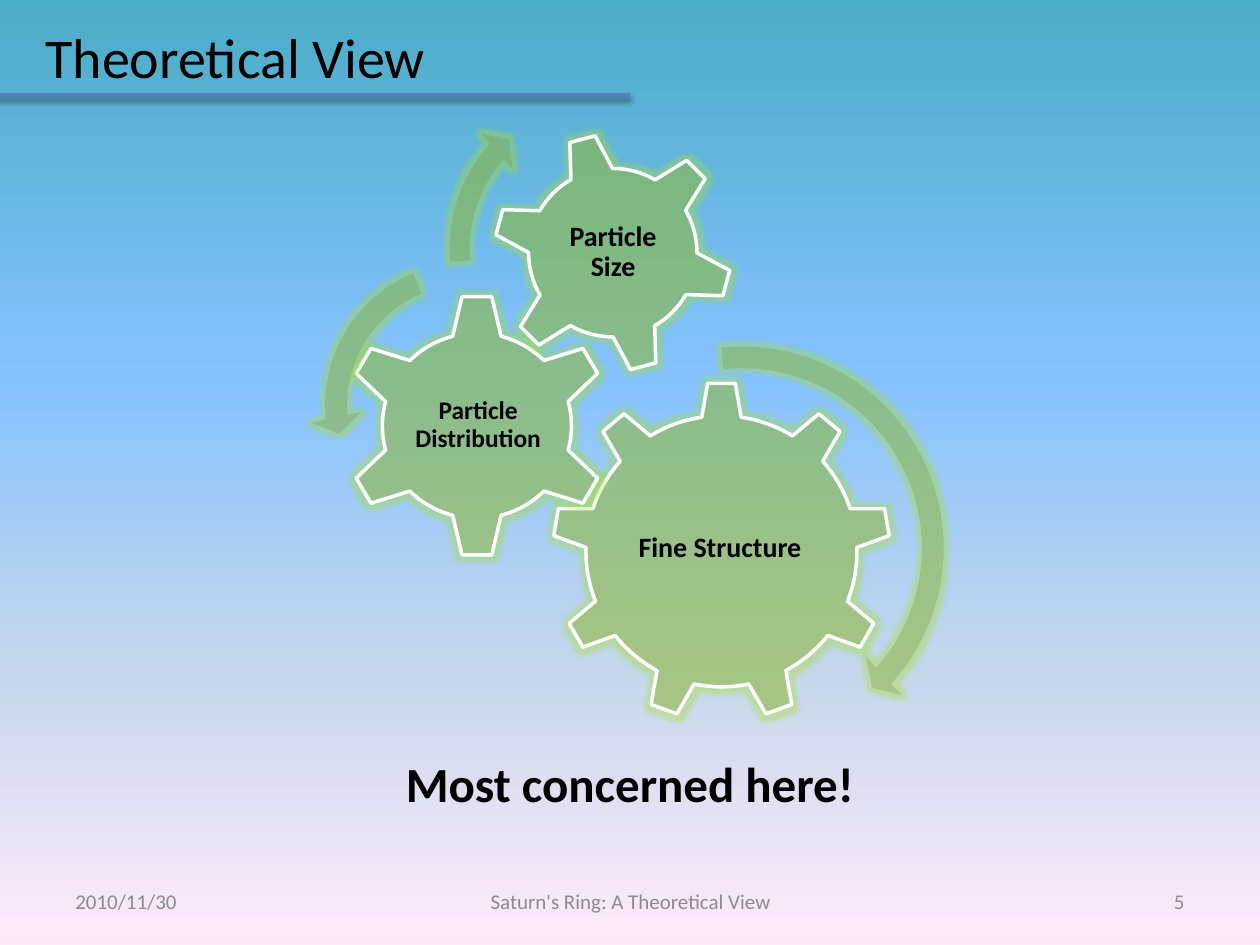
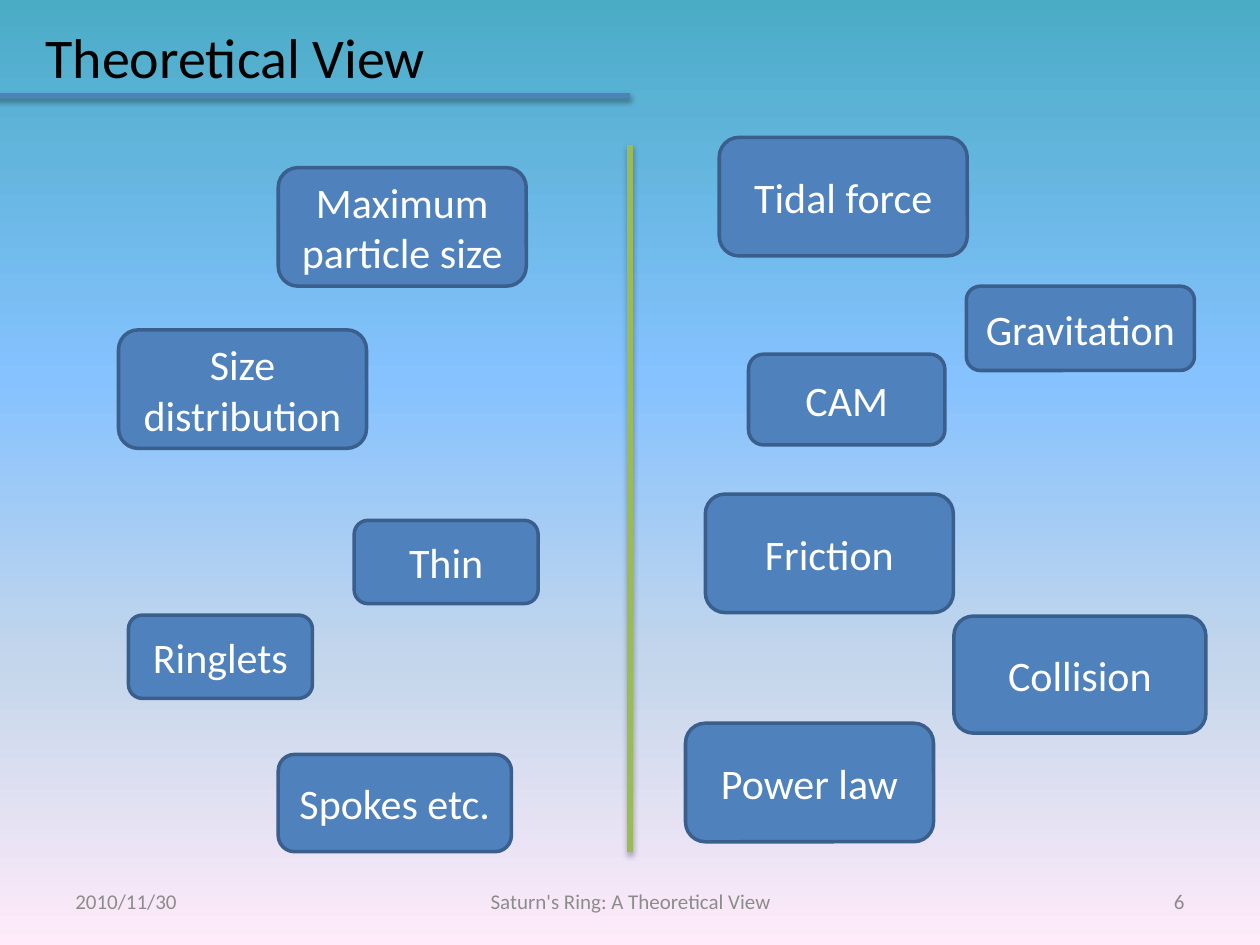
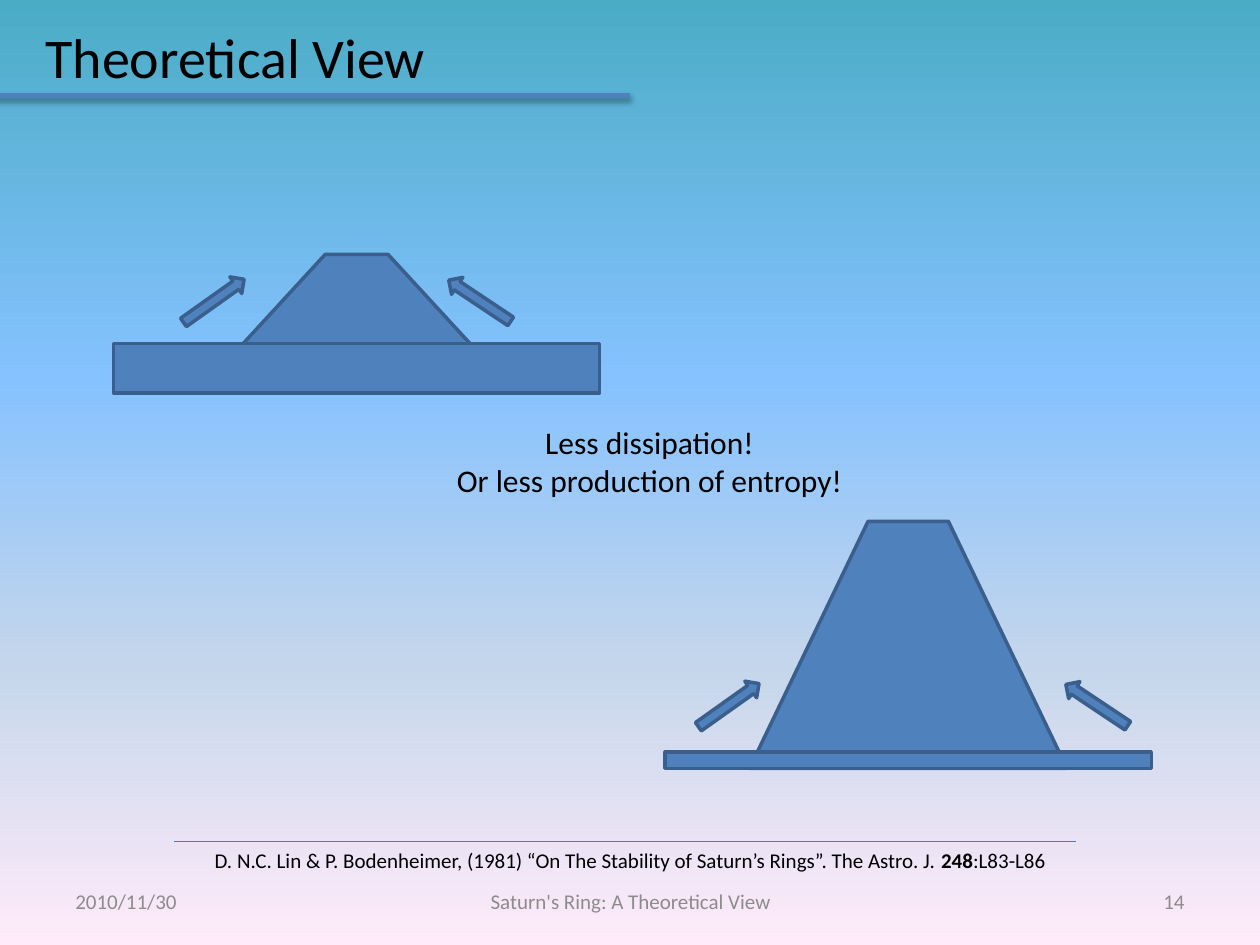
"""Build three slides on the theory of Saturn's rings."""
from lxml import etree
from pptx import Presentation
from pptx.dml.color import RGBColor
from pptx.enum.shapes import MSO_CONNECTOR, MSO_SHAPE
from pptx.enum.text import MSO_ANCHOR, PP_ALIGN
from pptx.oxml.ns import qn
from pptx.util import Cm, Pt

STRAIGHT = MSO_CONNECTOR.STRAIGHT
GEAR_6, GEAR_9 = MSO_SHAPE.GEAR_6, MSO_SHAPE.GEAR_9
TURN, LEFT_TURN = MSO_SHAPE.CIRCULAR_ARROW, MSO_SHAPE.LEFT_CIRCULAR_ARROW
RECT, ROUNDED = MSO_SHAPE.RECTANGLE, MSO_SHAPE.ROUNDED_RECTANGLE
TRAPEZOID, LEFT_ARROW = MSO_SHAPE.TRAPEZOID, MSO_SHAPE.LEFT_ARROW
LEFT, CENTER, RIGHT = PP_ALIGN.LEFT, PP_ALIGN.CENTER, PP_ALIGN.RIGHT
TOP, MIDDLE = MSO_ANCHOR.TOP, MSO_ANCHOR.MIDDLE

FONT = "Calibri"
COLORS = {
    "text": "000000", "white": "FFFFFF", "footer": "8C8C8C",
    "blue": "4F81BD", "edge": "3A5F8C", "rule": "4B7EBC",
    "divider": "9BBB59", "gear": "77933C", "glow": "A6DF35",
}
SKY = [(0, "4BACC6"), (40, "85C2FF"), (70, "C4D6EB"), (100, "FFEBFA")]
TITLE = "Theoretical View"
DATE = "2010/11/30"
FOOTER = "Saturn's Ring: A Theoretical View"

GEARS = [
    (GEAR_9, (11.13, 7.7, 6.83, 6.83), 0,
     "Fine Structure", (12.47, 9.3, 4.09, 3.51), 16),
    (GEAR_6, (6.91, 5.92, 5.41, 5.33), 0,
     "Particle Distribution", (8.28, 7.26, 2.72, 2.62), 14.5),
    (GEAR_6, (9.93, 2.67, 4.85, 4.85), 345,
     "Particle Size", (11, 3.73, 2.72, 2.72), 16),
]
TURNS = [
    (TURN, (10.59, 6.68, 8.74, 8.74), (0.05, 2.99, 25.22, 158.48, 0.06)),
    (LEFT_TURN, (6.27, 5, 6.35, 6.35), (0.07, 4.3, 104.89, 148.38, 0.08)),
    (TURN, (8.79, 1.6, 6.83, 6.83), (0.06, 3.94, 133.14, 105.08, 0.07)),
]
TOPICS = [
    ("Tidal force", (14.5, 2.77, 5, 2.39)),
    ("Maximum particle size", (5.61, 3.38, 5, 2.39)),
    ("Ringlets", (2.59, 12.4, 3.71, 1.68)),
    ("Friction", (14.22, 9.96, 5, 2.39)),
    ("Collision", (19.23, 12.42, 5.08, 2.36)),
    ("Power law", (13.82, 14.58, 5, 2.39)),
    ("Thin", (7.14, 10.49, 3.71, 1.68)),
    ("Size distribution", (2.39, 6.65, 5, 2.39)),
    ("Spokes etc.", (5.61, 15.21, 4.7, 1.96)),
    ("Gravitation", (19.48, 5.77, 4.6, 1.7)),
    ("CAM", (15.09, 7.14, 3.96, 1.83)),
]


def rgb(name):
    """Return the palette colour called name."""
    return RGBColor.from_string(COLORS[name])


def add_child(parent, tag, **attrs):
    """Append a DrawingML element with the given attributes."""
    child = etree.SubElement(parent, qn(f"a:{tag}"))
    for key, value in attrs.items():
        child.set(key, str(value))
    return child


def add_color(parent, value, alpha=100):
    """Append a colour with its opacity in percent."""
    color = add_child(parent, "srgbClr", val=value)
    if alpha < 100:
        add_child(color, "alpha", val=alpha * 1000)


def paint_background(master):
    """Give the master the vertical sky gradient."""
    fill = master.background.fill
    fill.gradient()
    fill.gradient_angle = 270
    stops = master.element.find(f".//{qn('p:bg')}//{qn('a:gsLst')}")
    for stop in list(stops):
        stops.remove(stop)
    for pos, value in SKY:
        add_color(add_child(stops, "gs", pos=pos * 1000), value)


def add_run(p, text, size, color="text", bold=False):
    """Append one formatted run to a paragraph."""
    r = p.add_run()
    r.text = text
    r.font.name, r.font.size, r.font.bold = FONT, Pt(size), bold
    r.font.color.rgb = rgb(color)


def add_text(s, box, lines, size, color="text", bold=False, align=CENTER,
             anchor=TOP, wrap=True):
    """Add a text box with one paragraph per line and return its frame."""
    tf = s.shapes.add_textbox(*map(Cm, box)).text_frame
    tf.word_wrap, tf.vertical_anchor = wrap, anchor
    for i, line in enumerate(lines):
        p = tf.add_paragraph() if i else tf.paragraphs[0]
        p.alignment = align
        add_run(p, line, size, color, bold)
    return tf


def add_block(s, kind, box, rotation=0, adjustments=()):
    """Add a blue shape with a dark edge."""
    sp = s.shapes.add_shape(kind, *map(Cm, box))
    sp.shadow.inherit = False
    sp.rotation = rotation
    for i, value in enumerate(adjustments):
        sp.adjustments[i] = value
    sp.fill.solid()
    sp.fill.fore_color.rgb = rgb("blue")
    sp.line.color.rgb = rgb("edge")
    sp.line.width = Pt(2)
    return sp


def add_glowing(s, kind, box, rotation=0, adjustments=()):
    """Add a translucent green shape with a soft glow."""
    sp = add_block(s, kind, box, rotation, adjustments)
    sp.fill.fore_color.rgb = rgb("gear")
    spPr = sp.element.spPr
    add_child(spPr.find(f"{qn('a:solidFill')}/{qn('a:srgbClr')}"),
              "alpha", val=29000)
    glow = add_child(spPr.find(qn("a:effectLst")), "glow", rad=Pt(5))
    add_color(glow, COLORS["glow"], 40)
    return sp


def add_line(s, ends, color, width, shadow=True):
    """Add a straight line, with a soft shadow if wanted."""
    line = s.shapes.add_connector(STRAIGHT, *map(Cm, ends))
    line.line.color.rgb = rgb(color)
    line.line.width = Pt(width)
    effects = add_child(line.element.spPr, "effectLst")
    if shadow:
        outer = add_child(effects, "outerShdw", blurRad=40000, dist=23000,
                          dir=5400000, rotWithShape=0)
        add_color(outer, "000000", 35)


def add_slide(prs, number):
    """Add a slide with the shared title, rule and footer."""
    s = prs.slides.add_slide(prs.slide_layouts[5])
    title = s.shapes.title
    title.left, title.top, title.width, title.height = map(
        Cm, (0.66, 0.15, 23.04, 1.96))
    title.text_frame.vertical_anchor = MIDDLE
    p = title.text_frame.paragraphs[0]
    p.alignment = LEFT
    add_run(p, TITLE, 32)
    for text, left, width, align in ((DATE, 1.27, 5.92, LEFT),
                                     (str(number), 18.21, 5.92, RIGHT),
                                     (FOOTER, 8.69, 8.05, CENTER)):
        add_text(s, (left, 17.65, width, 1.02), [text], 12, "footer",
                 align=align, anchor=MIDDLE)
    add_line(s, (-0.1, 1.93, 12.7, 1.93), "blue", 3)
    return s


def add_gear(s, kind, box, rotation, label, label_box, size):
    """Add a gear with an upright label."""
    add_glowing(s, kind, box, rotation).line.color.rgb = rgb("white")
    tf = add_text(s, label_box, [label], size, bold=True, anchor=MIDDLE)
    tf.margin_left = tf.margin_right = Cm(0.05)
    tf.margin_top = tf.margin_bottom = Cm(0.05)
    tf.paragraphs[0].line_spacing = 0.9


def add_topic(s, label, box):
    """Add a rounded box naming a topic."""
    tf = add_block(s, ROUNDED, box).text_frame
    tf.word_wrap, tf.vertical_anchor = True, MIDDLE
    p = tf.paragraphs[0]
    p.alignment = CENTER
    add_run(p, label, 24, "white")


def add_mound(s, left, bottom, height, slab, slope, arrow_top, arrow_lefts):
    """Add a mound on a slab with an arrow climbing each side."""
    add_block(s, TRAPEZOID, (left + 1.7, bottom - height, 6.4, height),
              adjustments=[slope])
    add_block(s, RECT, (left, bottom - slab, 9.8, slab))
    for arrow_left, angle in zip(arrow_lefts, (144.6, 33.7)):
        add_block(s, LEFT_ARROW, (arrow_left, arrow_top, 1.5, 0.41), angle)


def build_gears(prs):
    """Build the slide of interlocking questions."""
    s = add_slide(prs, 5)
    for gear in GEARS:
        add_gear(s, *gear)
    for kind, box, adjustments in TURNS:
        sp = add_glowing(s, kind, box, adjustments=adjustments)
        sp.line.fill.background()
    add_text(s, (7.87, 15.06, 9.65, 1.45), ["Most concerned here!"], 28,
             bold=True, wrap=False)


def build_topics(prs):
    """Build the slide setting observations beside mechanisms."""
    s = add_slide(prs, 6)
    for label, box in TOPICS:
        add_topic(s, label, box)
    add_line(s, (12.7, 2.92, 12.7, 17.17), "divider", 3)


def build_mounds(prs):
    """Build the slide comparing two ring profiles."""
    s = add_slide(prs, 14)
    add_line(s, (3.51, 16.97, 21.69, 16.97), "rule", 0.75, shadow=False)
    tf = add_text(s, (0, 16.97, 25.4, 0.76),
                  ["D. N.C. Lin & P. Bodenheimer, (1981) “On The Stability of "
                   "Saturn’s Rings”. The Astro. J. "], 12)
    add_run(tf.paragraphs[0], "248", 12, bold=True)
    add_run(tf.paragraphs[0], ":L83-L86", 12)
    add_mound(s, 2.29, 7.92, 2.79, 0.99, 0.92, 5.86, (3.56, 8.92))
    add_mound(s, 13.41, 15.49, 4.98, 0.33, 0.48, 14.01, (13.94, 21.36))
    add_text(s, (8.69, 8.41, 8.81, 1.8),
             ["Less dissipation!", "Or less production of entropy!"], 18)


def main():
    """Build and save the presentation."""
    prs = Presentation()
    prs.slide_width, prs.slide_height = Cm(25.4), Cm(19.05)
    paint_background(prs.slide_master)
    build_gears(prs)
    build_topics(prs)
    build_mounds(prs)
    prs.save("out.pptx")


if __name__ == "__main__":
    main()
